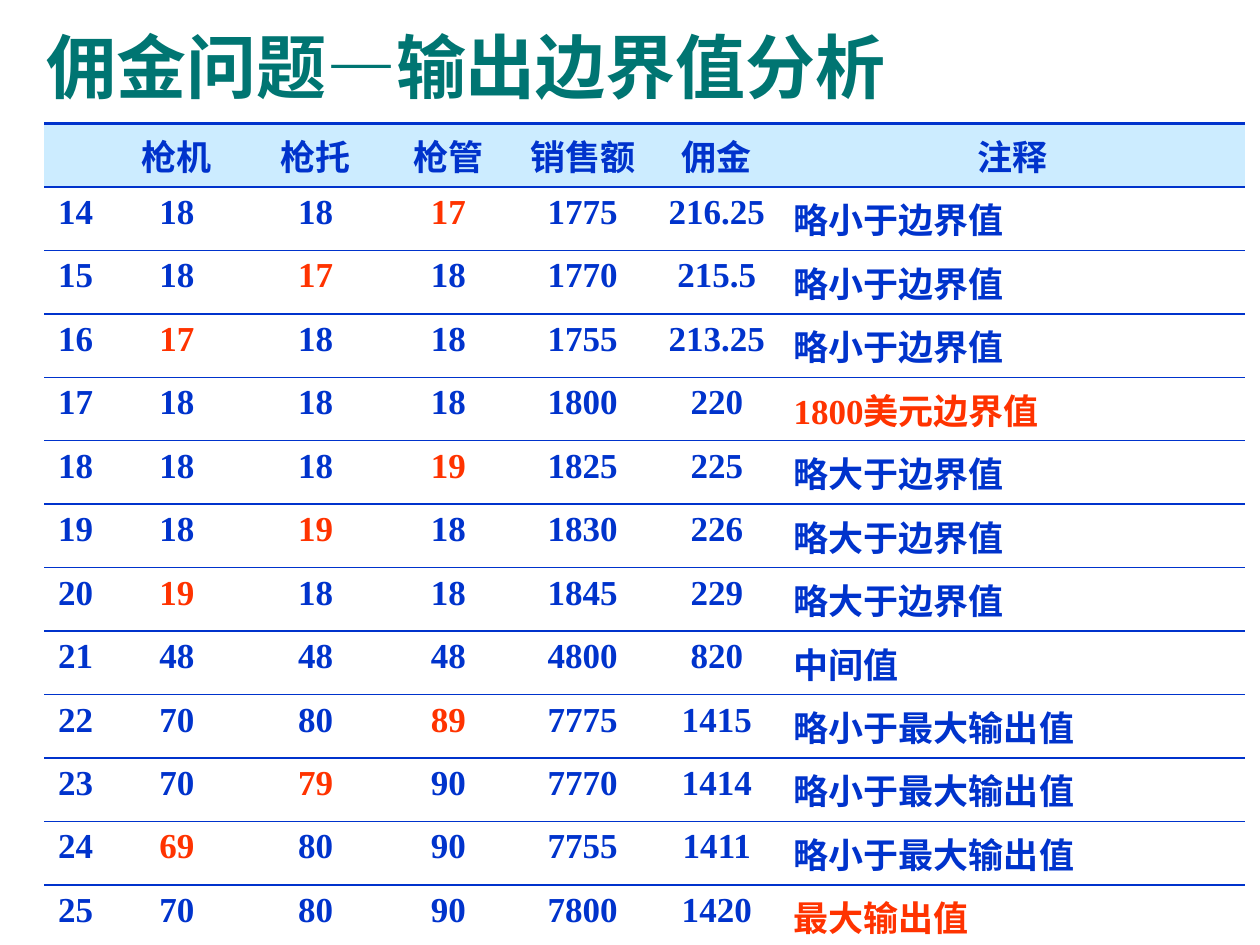
from dataclasses import dataclass
from typing import Optional

from lxml import etree
from pptx import Presentation
from pptx import util as u
from pptx.dml.color import RGBColor
from pptx.enum import text
from pptx.oxml import ns

BLUE = RGBColor(0x00, 0x33, 0xCC)
RED = RGBColor(0xFF, 0x33, 0x00)
TEAL = RGBColor(0x00, 0x75, 0x72)
PALE_BLUE = RGBColor(0xCC, 0xEC, 0xFF)
WHITE = RGBColor(0xFF, 0xFF, 0xFF)

WIDTH, HEIGHT = u.Inches(10), u.Inches(7.5)
COLUMN_WIDTHS = (0.5, 1.11, 1.09, 1.02, 1.11, 1.02, 3.68)
ROW_HEIGHT = 0.44
THIN, THICK = 1, 2.25
NOTE_COLUMN = 6
FILLED_CASES = 4

HEADINGS = ("", "枪机", "枪托", "枪管", "销售额", "佣金", "注释")
BELOW, ABOVE, BELOW_MAX = "略小于边界值", "略大于边界值", "略小于最大输出值"


@dataclass(frozen=True)
class Case:
    values: tuple
    note: str
    highlight: Optional[int] = None


CASES = (
    Case((18, 18, 17, 1775, 216.25), BELOW, 3),
    Case((18, 17, 18, 1770, 215.5), BELOW, 2),
    Case((17, 18, 18, 1755, 213.25), BELOW, 1),
    Case((18, 18, 18, 1800, 220), "1800美元边界值", NOTE_COLUMN),
    Case((18, 18, 19, 1825, 225), ABOVE, 3),
    Case((18, 19, 18, 1830, 226), ABOVE, 2),
    Case((19, 18, 18, 1845, 229), ABOVE, 1),
    Case((48, 48, 48, 4800, 820), "中间值"),
    Case((70, 80, 89, 7775, 1415), BELOW_MAX, 3),
    Case((70, 79, 90, 7770, 1414), BELOW_MAX, 2),
    Case((69, 80, 90, 7755, 1411), BELOW_MAX, 1),
    Case((70, 80, 90, 7800, 1420), "最大输出值", NOTE_COLUMN),
)
FIRST_CASE = 14


def style_font(font, name: str, size: float, color: RGBColor) -> None:
    font.name, font.size, font.bold = name, u.Pt(size), True
    font.color.rgb = color


def set_borders(cell, top: float, bottom: float) -> None:
    properties = cell._tc.get_or_add_tcPr()
    sides = (("lnL", 0), ("lnR", 0), ("lnT", top), ("lnB", bottom))
    for position, (side, points) in enumerate(sides):
        line = etree.Element(ns.qn(f"a:{side}"), w=str(u.Pt(points)))
        if points:
            paint = etree.SubElement(line, ns.qn("a:solidFill"))
            etree.SubElement(paint, ns.qn("a:srgbClr"), val=str(BLUE))
        else:
            etree.SubElement(line, ns.qn("a:noFill"))
        properties.insert(position, line)


def fill_cell(cell, content: str, color: RGBColor, centred: bool) -> None:
    cell.text_frame.text = content
    paragraph = cell.text_frame.paragraphs[0]
    paragraph.alignment = text.PP_ALIGN.CENTER if centred else text.PP_ALIGN.LEFT
    spacing = etree.SubElement(paragraph._p.get_or_add_pPr(), ns.qn("a:spcBef"))
    etree.SubElement(spacing, ns.qn("a:spcPct"), val="20000")
    style_font(paragraph.font, "Times New Roman", 20, color)
    for run in paragraph.runs:
        style_font(run.font, "Times New Roman", 20, color)


def set_background(cell, color: Optional[RGBColor]) -> None:
    if color is None:
        cell.fill.background()
    else:
        cell.fill.solid()
        cell.fill.fore_color.rgb = color


def add_title(slide, wording: str) -> None:
    title = slide.shapes.add_textbox(
        u.Inches(0.27), u.Inches(0.05), u.Inches(9.34), u.Inches(0.94)
    )
    frame = title.text_frame
    frame.word_wrap = True
    frame.vertical_anchor = text.MSO_ANCHOR.MIDDLE
    frame.text = wording
    style_font(frame.paragraphs[0].runs[0].font, "Arial", 40, TEAL)


def add_case_table(slide) -> None:
    rows = len(CASES) + 1
    table = slide.shapes.add_table(
        rows, len(HEADINGS), u.Inches(0.35), u.Inches(0.98),
        u.Inches(sum(COLUMN_WIDTHS)), u.Inches(ROW_HEIGHT * rows),
    ).table
    table.first_row = table.horz_banding = False
    for column, width in zip(table.columns, COLUMN_WIDTHS):
        column.width = u.Inches(width)
    for row in table.rows:
        row.height = u.Inches(ROW_HEIGHT)

    for column, heading in enumerate(HEADINGS):
        cell = table.cell(0, column)
        fill_cell(cell, heading, BLUE, True)
        set_background(cell, PALE_BLUE)
        set_borders(cell, THICK, THIN)

    for row, case in enumerate(CASES, start=1):
        contents = (FIRST_CASE + row - 1, *case.values, case.note)
        for column, content in enumerate(contents):
            cell = table.cell(row, column)
            color = RED if column == case.highlight else BLUE
            fill_cell(cell, str(content), color, column != NOTE_COLUMN)
            set_background(cell, WHITE if row <= FILLED_CASES else None)
            set_borders(cell, THIN, THICK if row == len(CASES) else THIN)


def main() -> None:
    deck = Presentation()
    deck.slide_width, deck.slide_height = WIDTH, HEIGHT
    slide = deck.slides.add_slide(deck.slide_layouts[6])
    add_case_table(slide)
    add_title(slide, "佣金问题—输出边界值分析")
    deck.save("out.pptx")


if __name__ == "__main__":
    main()
